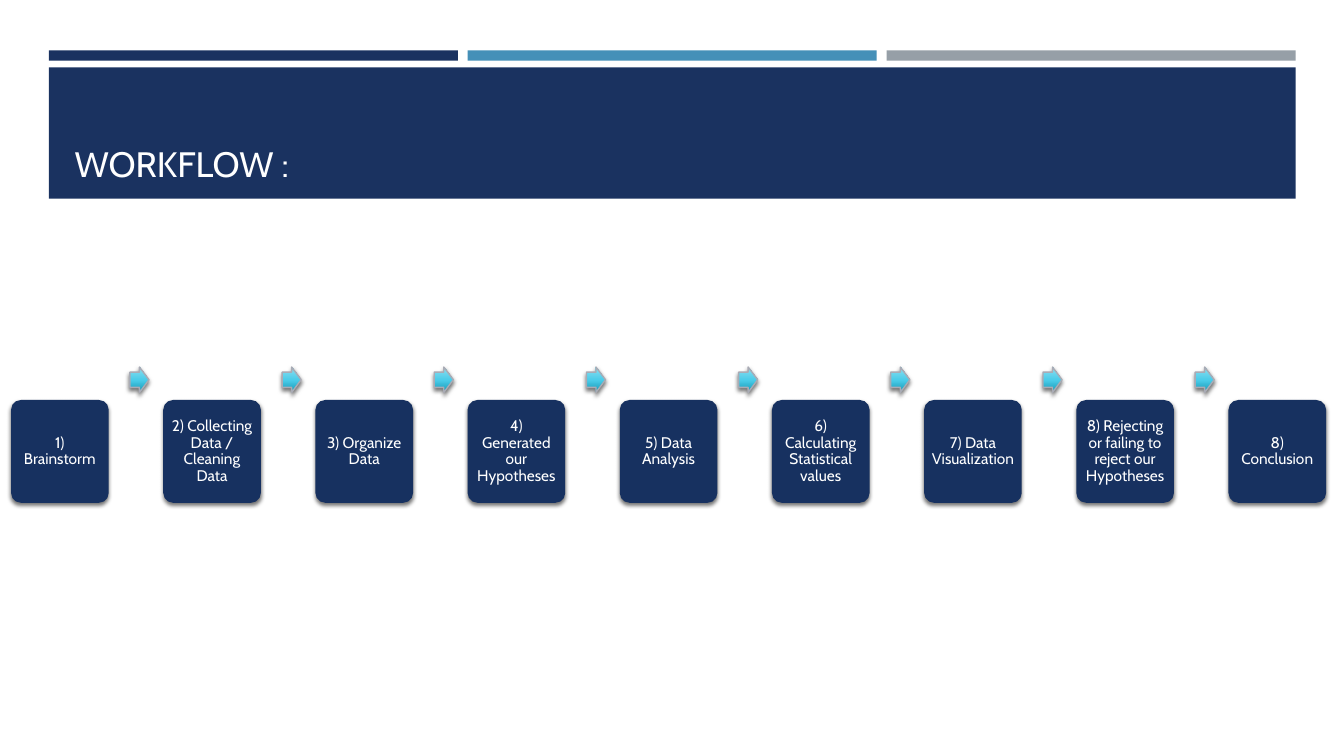
from lxml import etree
from pptx import Presentation
from pptx.dml.color import RGBColor
from pptx.enum.shapes import MSO_SHAPE
from pptx.enum.text import MSO_ANCHOR, PP_ALIGN
from pptx.oxml.ns import qn
from pptx.util import Cm, Pt

RECT = MSO_SHAPE.RECTANGLE
ROUNDED = MSO_SHAPE.ROUNDED_RECTANGLE
ARROW = MSO_SHAPE.RIGHT_ARROW
BOTTOM = MSO_ANCHOR.BOTTOM
MIDDLE = MSO_ANCHOR.MIDDLE
LEFT = PP_ALIGN.LEFT
CENTER = PP_ALIGN.CENTER

FONT = "Cabin"
WHITE = "FFFFFF"
NAVY = "1A3260"
STEP_NAVY = "173160"
BAR_COLORS = [NAVY, "4590B8", "969FA7"]
ARROW_STOPS = [(0, "1697B3"), (48, "49CBE8"), (100, "8DDFF1")]
ARROW_LINE = "A9ABB5"
STEPS = [
    "1) Brainstorm",
    "2) Collecting Data / Cleaning Data",
    "3) Organize Data",
    "4) Generated our Hypotheses",
    "5) Data Analysis",
    "6) Calculating Statistical values",
    "7) Data Visualization",
    "8) Rejecting or failing to reject our Hypotheses",
    "8) Conclusion",
]


def rgb(color):
    return RGBColor.from_string(color)


def add_shape(slide, kind, x, y, w, h, color):
    """Add a plain filled shape without line or shadow; lengths in cm."""
    sp = slide.shapes.add_shape(kind, Cm(x), Cm(y), Cm(w), Cm(h))
    sp.shadow.inherit = False
    sp.fill.solid()
    sp.fill.fore_color.rgb = rgb(color)
    sp.line.fill.background()
    return sp


def add_color(parent, color):
    return etree.SubElement(parent, qn("a:srgbClr"), val=color)


def add_shadow(sp):
    """Put a soft shadow below the shape."""
    effects = sp._element.spPr.find(qn("a:effectLst"))
    shadow = etree.SubElement(
        effects, qn("a:outerShdw"), blurRad=str(Pt(3)), dist=str(Pt(2)),
        dir="5400000", algn="ctr", rotWithShape="0")
    etree.SubElement(add_color(shadow, "000000"), qn("a:alpha"), val="55000")


def set_gradient(sp, stops):
    """Fill the shape from bottom to top with (percent, color) stops."""
    sp.fill.gradient()
    sp.fill.gradient_angle = 90
    stop_list = sp._element.spPr.find(qn("a:gradFill")).find(qn("a:gsLst"))
    for stop in list(stop_list):
        stop_list.remove(stop)
    for percent, color in stops:
        stop = etree.SubElement(stop_list, qn("a:gs"), pos=str(percent * 1000))
        add_color(stop, color)


def set_text(sp, text, size, align, anchor, inset_x, inset_y):
    tf = sp.text_frame
    tf.word_wrap = True
    tf.vertical_anchor = anchor
    tf.margin_left = tf.margin_right = Cm(inset_x)
    tf.margin_top = tf.margin_bottom = Cm(inset_y)
    tf.text = text
    p = tf.paragraphs[0]
    p.alignment = align
    p.line_spacing = 0.9
    font = p.runs[0].font
    font.name = FONT
    font.size = Pt(size)
    font.color.rgb = rgb(WHITE)


def add_header(slide, title, x, y, w, h):
    """Three colored bars above a banner that holds the title."""
    gap, bar_h, banner_dy = 0.25, 0.26, 0.43
    bar_w = (w - 2 * gap) / 3
    for i, color in enumerate(BAR_COLORS):
        add_shape(slide, RECT, x + i * (bar_w + gap), y, bar_w, bar_h, color)
    add_shape(slide, RECT, x, y + banner_dy, w, h - banner_dy, NAVY)
    pad_x, title_h, pad_bottom = 0.4, 2.82, 0.22
    box = slide.shapes.add_textbox(
        Cm(x + pad_x), Cm(y + h - pad_bottom - title_h),
        Cm(w - 2 * pad_x), Cm(title_h))
    set_text(box, title, 25.2, LEFT, BOTTOM, 0.25, 0.13)


def add_workflow(slide, steps, x, y, w, h):
    """A row of steps, with an arrow above each gap."""
    step_w, step_h = 2.46, 2.59
    arrow_w, arrow_h = 0.48, 0.64
    pitch = (w - step_w) / (len(steps) - 1)
    for i, text in enumerate(steps):
        left = x + i * pitch
        if i:
            arrow_x = left - 0.84
            arrow = add_shape(slide, ARROW, arrow_x, y, arrow_w, arrow_h, WHITE)
            arrow.adjustments[0] = 0.6
            arrow.adjustments[1] = 0.5
            set_gradient(arrow, ARROW_STOPS)
            arrow.line.color.rgb = rgb(ARROW_LINE)
            arrow.line.width = Pt(1)
            add_shadow(arrow)
        step = add_shape(slide, ROUNDED, left, y + h - step_h, step_w, step_h,
                         STEP_NAVY)
        step.adjustments[0] = 0.1
        add_shadow(step)
        set_text(step, text, 11, CENTER, MIDDLE, 0.12, 0.12)


def main():
    prs = Presentation()
    prs.slide_width = Cm(33.87)
    prs.slide_height = Cm(19.05)
    slide = prs.slides.add_slide(prs.slide_layouts[6])
    add_header(slide, "WORKFLOW :", 1.23, 1.27, 31.42, 3.74)
    add_workflow(slide, STEPS, 0.28, 9.25, 33.14, 3.42)
    prs.save("out.pptx")


if __name__ == "__main__":
    main()
